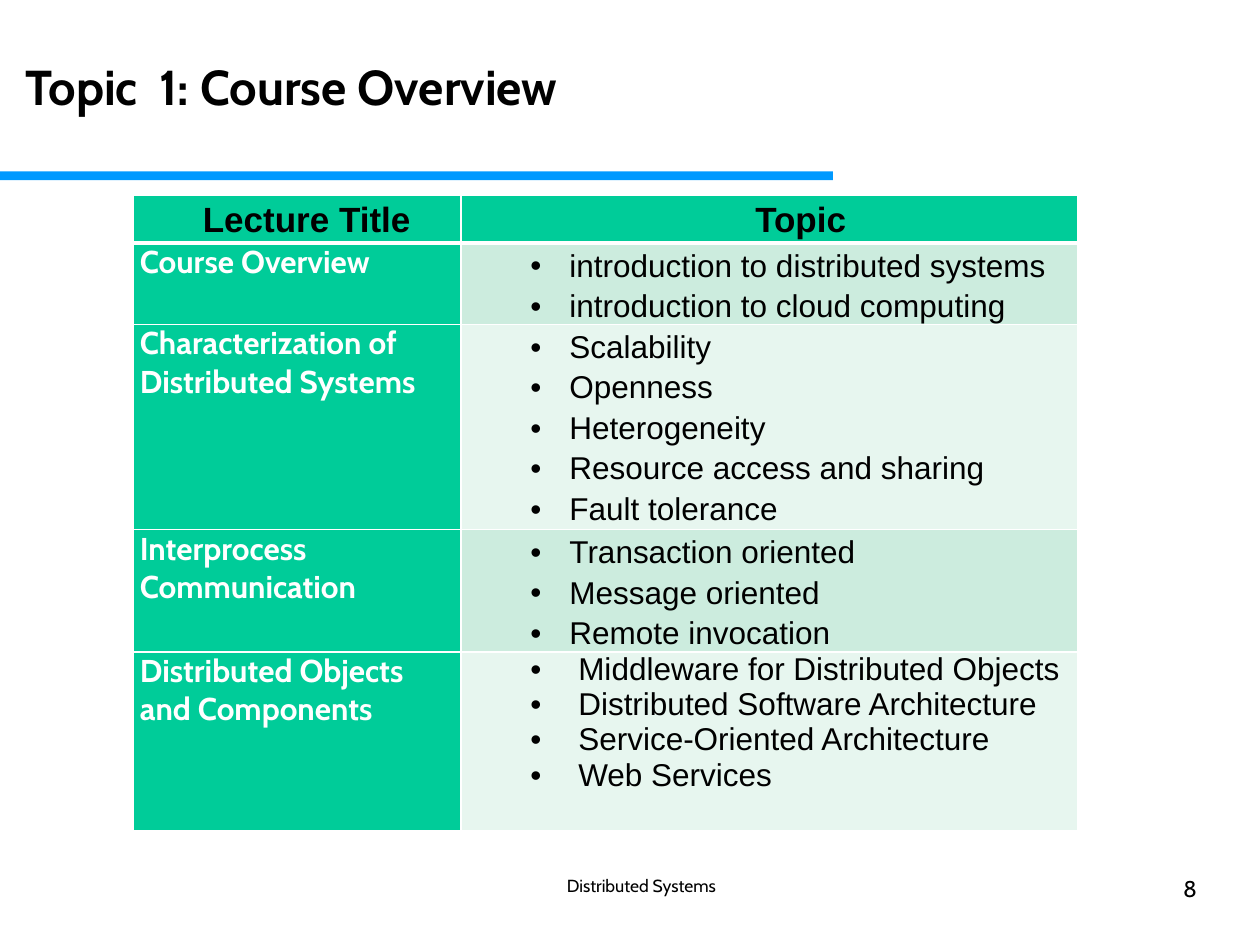
from pptx import Presentation
from pptx.dml.color import RGBColor
from pptx.enum.shapes import MSO_SHAPE
from pptx.enum.text import MSO_ANCHOR, PP_ALIGN as ALIGN
from pptx.oxml import parse_xml
from pptx.oxml.ns import nsdecls
from pptx.util import Inches, Pt

COLORS = {
    "bar": "0099FF",
    "green": "00CC99",
    "band_dark": "CCECDE",
    "band_light": "E7F6EF",
    "white": "FFFFFF",
    "black": "000000",
}


def add_text(frame, text, size=18, font="Cabin", color="black", bold=False,
             align=ALIGN.LEFT, spacing=None, left=0, hanging=0, bullet=None):
    """Write text into the frame's empty first paragraph, or into a new one."""
    paragraph = frame.paragraphs[0]
    if paragraph.runs:
        paragraph = frame.add_paragraph()
    properties = paragraph._p.get_or_add_pPr()
    properties.set("marL", str(Inches(left)))
    properties.set("indent", str(-Inches(hanging)))
    if bullet:
        properties.append(parse_xml(f'<a:buFont {nsdecls("a")} typeface="Arial"/>'))
        properties.append(parse_xml(f'<a:buChar {nsdecls("a")} char="{bullet}"/>'))
    paragraph.alignment = align
    if spacing:
        paragraph.line_spacing = spacing
    run = paragraph.add_run()
    run.text = text
    run.font.size = Pt(size)
    run.font.name = font
    run.font.bold = bold
    run.font.color.rgb = RGBColor.from_string(COLORS[color])


def style_cell(cell, fill, bottom=1):
    """Set margins, white borders and the fill of a table cell."""
    cell.margin_left = cell.margin_right = Inches(0.05)
    cell.margin_top = cell.margin_bottom = 0
    for side, width in (("L", 1), ("R", 1), ("T", 1), ("B", bottom)):
        cell._tc.get_or_add_tcPr().append(parse_xml(
            f'<a:ln{side} {nsdecls("a")} w="{Pt(width)}"><a:solidFill>'
            f'<a:srgbClr val="{COLORS["white"]}"/></a:solidFill></a:ln{side}>'))
    cell.fill.solid()
    cell.fill.fore_color.rgb = RGBColor.from_string(COLORS[fill])


prs = Presentation()
prs.slide_width = Inches(10)
prs.slide_height = Inches(7.5)
slide = prs.slides.add_slide(prs.slide_layouts[6])

# Rule under the title
rule = slide.shapes.add_shape(MSO_SHAPE.RECTANGLE, 0, Inches(1.36), Inches(6.61), Inches(0.07))
rule.shadow.inherit = False
rule.fill.solid()
rule.fill.fore_color.rgb = RGBColor.from_string(COLORS["bar"])
rule.line.fill.background()

# Lecture table
wide = dict(spacing=1.15, left=0.81, hanging=0.31)
tight = dict(left=0.88, hanging=0.38)
lectures = [
    ("Course Overview", 0.64, wide,
     ["introduction to distributed systems", "introduction to cloud computing"]),
    ("Characterization of Distributed Systems", 1.63, wide,
     ["Scalability", "Openness", "Heterogeneity", "Resource access and sharing",
      "Fault tolerance"]),
    ("Interprocess Communication", 0.97, wide,
     ["Transaction oriented", "Message oriented", "Remote invocation"]),
    ("Distributed Objects and Components", 1.42, tight,
     ["Middleware for Distributed Objects", "Distributed Software Architecture",
      "Service-Oriented Architecture", "Web Services"]),
]
table = slide.shapes.add_table(len(lectures) + 1, 2, Inches(1.06), Inches(1.55),
                               Inches(7.49), Inches(5.04)).table
table.columns[0].width = Inches(2.6)
table.columns[1].width = Inches(4.89)

table.rows[0].height = Inches(0.38)
for column, (heading, align) in enumerate([("Lecture Title", ALIGN.LEFT), ("Topic", ALIGN.CENTER)]):
    cell = table.cell(0, column)
    style_cell(cell, "green", bottom=3)
    add_text(cell.text_frame, heading, size=20, font="Arial", bold=True,
             align=align, spacing=1.15, left=0.5)

for row, (lecture, height, layout, topics) in enumerate(lectures, start=1):
    table.rows[row].height = Inches(height)
    lecture_cell, topic_cell = table.cell(row, 0), table.cell(row, 1)
    style_cell(lecture_cell, "green")
    add_text(lecture_cell.text_frame, lecture, color="white", bold=True)
    style_cell(topic_cell, "band_dark" if row % 2 else "band_light")
    for topic in topics:
        add_text(topic_cell.text_frame, topic, font="Arial", bullet="•", **layout)

# Footer, slide number and title
labels = [
    ("Distributed Systems", (3.37, 6.94, 3.44, 0.41), MSO_ANCHOR.TOP,
     dict(size=10, align=ALIGN.CENTER)),
    ("8", (7.17, 6.94, 2.33, 0.41), MSO_ANCHOR.TOP, dict(size=13, align=ALIGN.RIGHT)),
    ("Topic  1: Course Overview", (0.2, 0.13, 9, 1.1), MSO_ANCHOR.MIDDLE,
     dict(size=28, bold=True)),
]
for text, place, anchor, style in labels:
    frame = slide.shapes.add_textbox(*map(Inches, place)).text_frame
    frame.word_wrap = True
    frame.vertical_anchor = anchor
    frame.margin_left = frame.margin_right = frame.margin_top = frame.margin_bottom = 0
    add_text(frame, text, spacing=1.01, **style)

prs.save("out.pptx")
